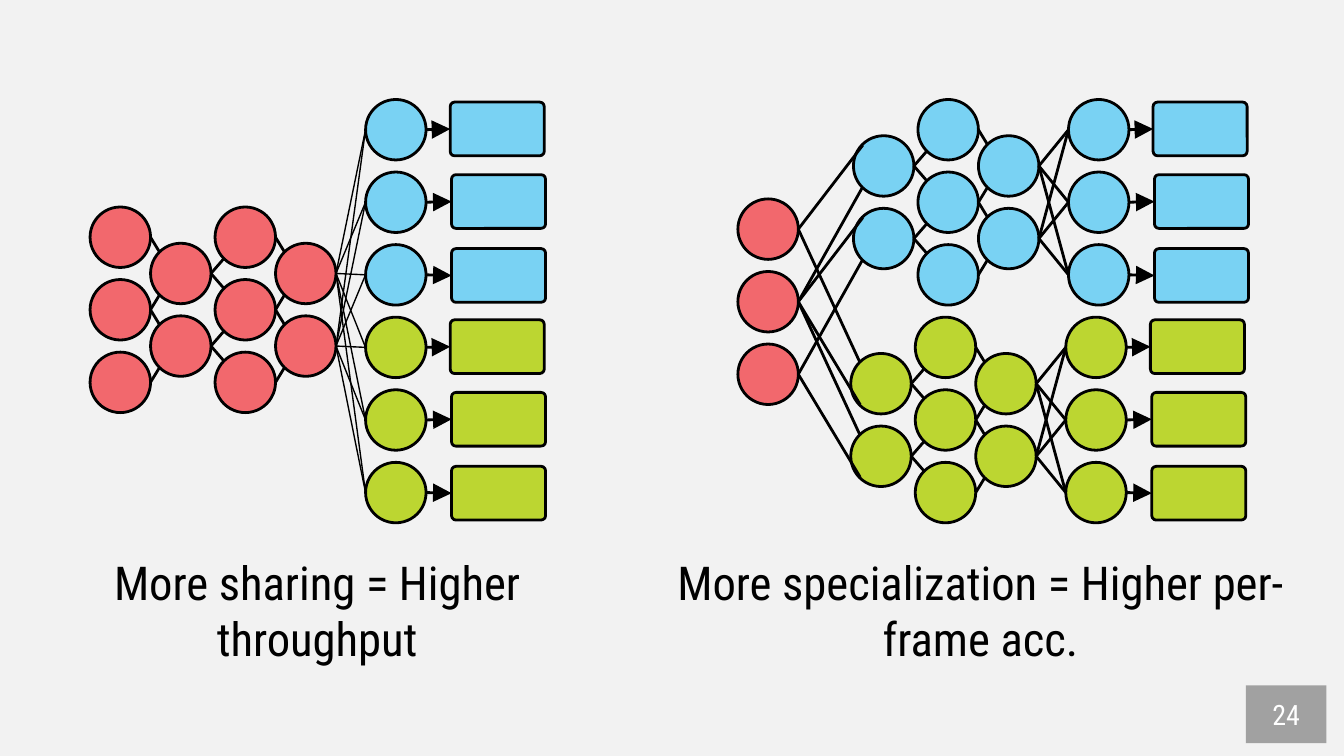
from itertools import product

from lxml import etree
from pptx import Presentation
from pptx.dml.color import RGBColor
from pptx.enum.shapes import MSO_CONNECTOR, MSO_SHAPE
from pptx.enum.text import MSO_ANCHOR, PP_ALIGN
from pptx.oxml.ns import qn
from pptx.util import Inches, Pt

STRAIGHT = MSO_CONNECTOR.STRAIGHT
OVAL, RECTANGLE, ROUNDED = MSO_SHAPE.OVAL, MSO_SHAPE.RECTANGLE, MSO_SHAPE.ROUNDED_RECTANGLE
MIDDLE, TOP = MSO_ANCHOR.MIDDLE, MSO_ANCHOR.TOP
CENTER = PP_ALIGN.CENTER

COLORS = {
    "background": "F2F2F2", "line": "000000", "text": "000000",
    "shared": "F2686D", "blue": "79D2F3", "green": "BCD631",
    "badge": "808080", "badge_text": "FFFFFF",
}
FONT = "Roboto Condensed"
SLIDE_WIDTH = 10
NODE, PITCH = 0.45, 0.54
CORNER = 0.07
BOX_WIDTH, BOX_HEIGHT = 0.7, 0.4


def color(name):
    """Return the named colour."""
    return RGBColor.from_string(COLORS[name])


def add_filled(slide, kind, left, top, width, height, fill):
    """Add an outlined preset shape."""
    shape = slide.shapes.add_shape(kind, Inches(left), Inches(top), Inches(width), Inches(height))
    shape.shadow.inherit = False
    shape.fill.solid()
    shape.fill.fore_color.rgb = color(fill)
    shape.line.color.rgb = color("line")
    shape.line.width = Pt(1.5)
    return shape


def add_line(slide, start, end, weight=1.5):
    """Add a straight line between two points."""
    points = [Inches(value) for value in (*start, *end)]
    connector = slide.shapes.add_connector(STRAIGHT, *points)
    connector.line.color.rgb = color("line")
    connector.line.width = Pt(weight)
    etree.SubElement(connector._element.spPr, qn("a:effectLst"))
    return connector


def add_nodes(slide, left, top, count, fill):
    """Add a column of neurons and return their top left corners."""
    corners = [(left, top + row * PITCH) for row in range(count)]
    for x, y in corners:
        add_filled(slide, OVAL, x, y, NODE, NODE, fill)
    return corners


def right_point(node):
    """Return the middle of a neuron's right side."""
    return node[0] + NODE, node[1] + NODE / 2


def link_neighbours(slide, sources, targets):
    """Link staggered columns, entering each target at its left corners."""
    narrowing = len(sources) > len(targets)
    for (i, source), (j, target) in product(enumerate(sources), enumerate(targets)):
        step = i - j if narrowing else j - i
        if step in (0, 1):
            enters_top = (step == 0) == narrowing
            drop = CORNER if enters_top else NODE - CORNER
            add_line(slide, right_point(source), (target[0] + CORNER, target[1] + drop))


def link_all(slide, sources, targets, weight):
    """Link every source with every target."""
    for source, target in product(sources, targets):
        add_line(slide, right_point(source), (target[0], target[1] + NODE / 2), weight)


def add_staggered(slide, left, top, counts, offsets, fill):
    """Add linked columns of three or two neurons and return the columns."""
    columns = [
        add_nodes(slide, left + offset, top + (3 - count) * PITCH / 2, count, fill)
        for count, offset in zip(counts, offsets)
    ]
    for sources, targets in zip(columns, columns[1:]):
        link_neighbours(slide, sources, targets)
    return columns


def add_outputs(slide, left, top, sources, fill, weight):
    """Add three output neurons, each pointing at its box."""
    nodes = add_nodes(slide, left, top, 3, fill)
    link_all(slide, sources, nodes, weight)
    for node, shift, drop in zip(nodes, (0.63, 0.64, 0.64), (0.02, 0.02, 0.03)):
        box = add_filled(slide, ROUNDED, left + shift, node[1] + drop, BOX_WIDTH, BOX_HEIGHT, fill)
        box.adjustments[0] = 0.084
        start = right_point(node)
        arrow = add_line(slide, start, (left + shift, start[1]))
        arrow.end_connect(box, 1)
        line = arrow.line._get_or_add_ln()
        etree.SubElement(line, qn("a:tailEnd"), type="triangle", w="lg", len="lg")


def add_sharing_network(slide, left, top):
    """Add the network whose layers are mostly shared."""
    columns = add_staggered(slide, left, top + 0.8, (3, 2, 3, 2), (0, 0.45, 0.93, 1.38), "shared")
    for fill, drop in (("green", 3 * PITCH), ("blue", 0)):
        add_outputs(slide, left + 2.05, top + drop, columns[-1], fill, 0.75)


def add_specialized_network(slide, left, top):
    """Add the network that splits into two branches early."""
    shared = add_nodes(slide, left, top + 0.74, 3, "shared")
    for fill, shift, drop in (("green", 0.84, 3 * PITCH), ("blue", 0.86, 0)):
        x, y = left + shift, top + drop
        columns = add_staggered(slide, x, y, (2, 3, 2), (0, 0.48, 0.93), fill)
        link_neighbours(slide, shared, columns[0])
        add_outputs(slide, x + 1.6, y, columns[-1], fill, 1.5)


def write_text(shape, text, size, font_color, anchor):
    """Write one centred paragraph into a shape."""
    frame = shape.text_frame
    frame.word_wrap = True
    frame.vertical_anchor = anchor
    frame.margin_left = frame.margin_right = Inches(0.1)
    frame.margin_top = frame.margin_bottom = Inches(0.1)
    paragraph = frame.paragraphs[0]
    paragraph.alignment = CENTER
    run = paragraph.add_run()
    run.text = text
    run.font.name = FONT
    run.font.size = Pt(size)
    run.font.color.rgb = color(font_color)


def add_caption(slide, left, top, width, text):
    """Add the caption below a network."""
    shape = slide.shapes.add_textbox(Inches(left), Inches(top), Inches(width), Inches(0.57))
    write_text(shape, text, 25, "text", TOP)


def add_page_badge(slide, left, top, number):
    """Add the translucent page number badge."""
    badge = add_filled(slide, RECTANGLE, left, top, 0.6, 0.43, "badge")
    badge.line.fill.background()
    fill_color = badge._element.spPr.find(qn("a:solidFill"))[0]
    etree.SubElement(fill_color, qn("a:alpha"), val="70000")
    write_text(badge, number, 15, "badge_text", MIDDLE)


def main():
    """Build and save the slide."""
    presentation = Presentation()
    presentation.slide_width = Inches(SLIDE_WIDTH)
    presentation.slide_height = Inches(SLIDE_WIDTH * 9 / 16)
    slide = presentation.slides.add_slide(presentation.slide_layouts[6])
    slide.background.fill.solid()
    slide.background.fill.fore_color.rgb = color("background")
    add_sharing_network(slide, 0.67, 0.74)
    add_specialized_network(slide, 5.49, 0.74)
    add_caption(slide, 0.36, 4.02, 4, "More sharing = Higher throughput")
    add_caption(slide, 4.85, 4.02, 4.89, "More specialization = Higher per-frame acc.")
    add_page_badge(slide, 9.27, 5.1, "24")
    presentation.save("out.pptx")


if __name__ == "__main__":
    main()
